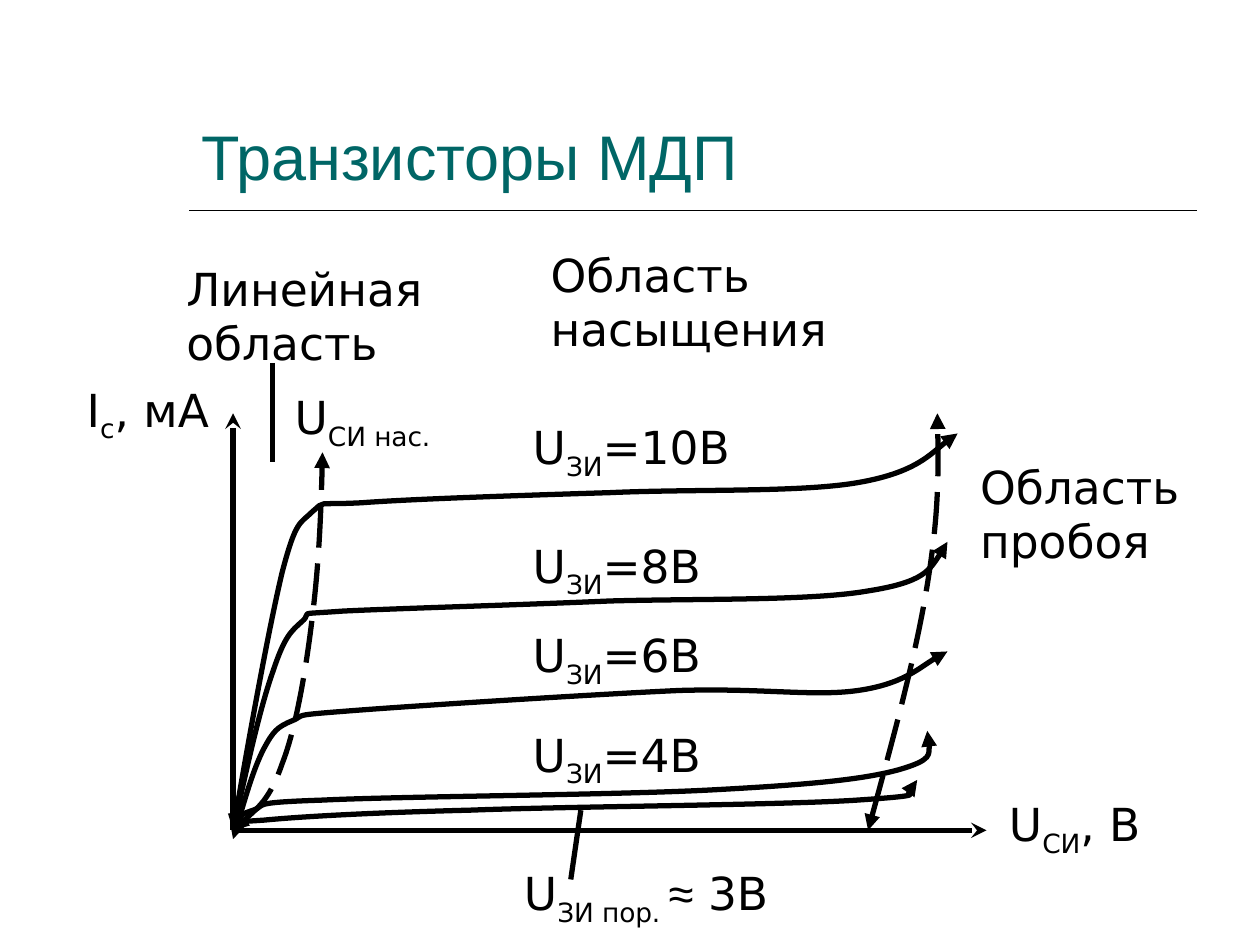
from lxml.etree import SubElement
from pptx import Presentation
from pptx.dml.color import RGBColor
from pptx.enum.dml import MSO_LINE_DASH_STYLE as Dash
from pptx.enum.shapes import MSO_CONNECTOR as Connector
from pptx.enum.text import MSO_ANCHOR as Anchor
from pptx.oxml.ns import qn
from pptx.util import Inches, Pt

BLACK = RGBColor(0x00, 0x00, 0x00)
TEAL = RGBColor(0x00, 0x66, 0x66)
TITLE_FONT = "Arial"
LABEL_FONT = "DejaVu Sans"

ORIGIN = (1.85, 6.59)

# Each characteristic: start point, then Bezier triples (control, control, end).
CHARACTERISTICS = [
    [ORIGIN,
     (1.81, 6.56), (1.77, 6.53), (2.09, 6.51),
     (2.40, 6.48), (2.95, 6.45), (3.74, 6.43),
     (4.53, 6.40), (6.22, 6.39), (6.81, 6.35),
     (7.40, 6.31), (7.22, 6.22), (7.28, 6.19)],
    [ORIGIN,
     (1.87, 6.53), (1.89, 6.47), (2.01, 6.43),
     (2.13, 6.39), (1.95, 6.37), (2.56, 6.35),
     (3.16, 6.32), (4.87, 6.31), (5.63, 6.27),
     (6.39, 6.23), (6.84, 6.19), (7.13, 6.11),
     (7.41, 6.03), (7.39, 5.91), (7.36, 5.80)],
    [(1.85, 6.66),
     (1.93, 6.39), (2.01, 6.11), (2.09, 5.95),
     (2.17, 5.80), (2.20, 5.77), (2.32, 5.72),
     (2.44, 5.67), (2.28, 5.68), (2.80, 5.64),
     (3.31, 5.60), (4.73, 5.51), (5.39, 5.48),
     (6.06, 5.46), (6.46, 5.53), (6.81, 5.48),
     (7.16, 5.43), (7.42, 5.21), (7.52, 5.17)],
    [ORIGIN,
     (1.96, 6.09), (2.07, 5.60), (2.17, 5.32),
     (2.26, 5.05), (2.31, 5.01), (2.40, 4.93),
     (2.49, 4.85), (2.31, 4.88), (2.72, 4.85),
     (3.12, 4.83), (4.15, 4.80), (4.84, 4.77),
     (5.54, 4.75), (6.44, 4.77), (6.89, 4.69),
     (7.34, 4.62), (7.43, 4.46), (7.52, 4.30)],
    [ORIGIN,
     (1.99, 5.77), (2.14, 4.96), (2.24, 4.54),
     (2.35, 4.12), (2.38, 4.16), (2.48, 4.06),
     (2.59, 3.97), (2.48, 4.01), (2.87, 3.99),
     (3.27, 3.96), (4.19, 3.93), (4.84, 3.91),
     (5.50, 3.88), (6.35, 3.91), (6.81, 3.83),
     (7.27, 3.75), (7.51, 3.49), (7.60, 3.44)],
]
REGION_BORDERS = [
    [ORIGIN,
     (1.99, 6.46), (2.14, 6.35), (2.24, 6.06),
     (2.35, 5.78), (2.43, 5.31), (2.48, 4.89),
     (2.53, 4.48), (2.55, 4.04), (2.56, 3.59)],
    [(6.89, 6.59),
     (7.08, 5.89), (7.27, 5.20), (7.36, 4.64),
     (7.45, 4.09), (7.45, 3.69), (7.44, 3.28)],
]

# Gate voltage and top of its label.
GATE_VOLTAGES = [(10, 3.28), (8, 4.22), (6, 4.93), (4, 5.72)]


def add_arrowheads(shape, kind, *ends):
    for end in ends:
        SubElement(shape.line._get_or_add_ln(), qn(f"a:{end}"), type=kind)


def add_line(slide, start, end, width=3):
    points = [Inches(v) for v in (*start, *end)]
    line = slide.shapes.add_connector(Connector.STRAIGHT, *points)
    line.line.color.rgb = BLACK
    line.line.width = Pt(width)
    SubElement(line._element.spPr, qn("a:effectLst"))
    return line


def add_axis(slide, tip):
    add_arrowheads(add_line(slide, tip, ORIGIN), "stealth", "headEnd")


def add_curve(slide, points, dash=None):
    """Draw a Bezier curve with an arrowhead at both ends."""
    start, *rest = [(Inches(x), Inches(y)) for x, y in points]
    builder = slide.shapes.build_freeform(*start)
    builder.add_line_segments(rest, close=False)
    curve = builder.convert_to_shape()
    segments = list(curve._element.iter(qn("a:lnTo")))
    for i in range(0, len(segments), 3):
        triple = segments[i:i + 3]
        bezier = SubElement(triple[0].getparent(), qn("a:cubicBezTo"))
        for segment in triple:
            bezier.append(segment[0])
            segment.getparent().remove(segment)
    curve.shadow.inherit = False
    curve.fill.background()
    curve.line.color.rgb = BLACK
    curve.line.width = Pt(3)
    if dash:
        curve.line.dash_style = dash
    add_arrowheads(curve, "triangle", "headEnd", "tailEnd")


def add_text(slide, box, *runs, size=26, font=LABEL_FONT, color=BLACK,
             anchor=Anchor.TOP, inset=(0.1, 0.05)):
    """Add a text box; each run is (text,) or (text, changes) with sub or font."""
    frame = slide.shapes.add_textbox(*[Inches(v) for v in box]).text_frame
    frame.word_wrap = True
    frame.vertical_anchor = anchor
    frame.margin_left = frame.margin_right = Inches(inset[0])
    frame.margin_top = frame.margin_bottom = Inches(inset[1])
    for text, *changes in runs:
        style = changes[0] if changes else {}
        run = frame.paragraphs[0].add_run()
        run.text = text
        run.font.size = Pt(size)
        run.font.name = style.get("font", font)
        run.font.color.rgb = color
        if style.get("sub"):
            run._r.get_or_add_rPr().set("baseline", "-25000")


def add_symbol(slide, box, letter, index, *rest):
    """Label a quantity: letter with a subscript, then further runs."""
    add_text(slide, box, (letter,), (index, {"sub": True}), *rest)


def main():
    prs = Presentation()
    prs.slide_width, prs.slide_height = Inches(10), Inches(7.5)
    slide = prs.slides.add_slide(prs.slide_layouts[6])

    add_line(slide, (1.5, 1.67), (9.5, 1.67), width=1)
    add_text(slide, (1.5, 0.33, 8, 1.25), ("Транзисторы МДП",), size=36,
             font=TITLE_FONT, color=TEAL, anchor=Anchor.BOTTOM)

    add_axis(slide, (1.85, 3.28))
    add_axis(slide, (7.83, 6.59))
    add_symbol(slide, (7.91, 6.27, 1.34, 0.6), "U", "СИ", (", В",))
    add_symbol(slide, (0.59, 2.98, 1.34, 0.6), "I", "c", (", мА",))

    for border in REGION_BORDERS:
        add_curve(slide, border, Dash.LONG_DASH)
    for characteristic in CHARACTERISTICS:
        add_curve(slide, characteristic)

    add_symbol(slide, (2.24, 3.04, 1.58, 0.6), "U", "СИ нас.")
    for voltage, top in GATE_VOLTAGES:
        add_symbol(slide, (4.13, top, 1.97, 0.6), "U", "ЗИ", (f"={voltage}В",))
    add_symbol(slide, (4.06, 6.82, 2.52, 0.6), "U", "ЗИ пор. ",
               ("≈", {"font": TITLE_FONT}), (" 3В",))

    add_line(slide, (4.61, 6.43), (4.53, 6.98))
    add_line(slide, (2.16, 2.88), (2.16, 3.67))
    add_text(slide, (1.38, 2.02, 2.52, 0.97), ("Линейная область",))
    add_text(slide, (7.68, 3.59, 1.81, 0.97), ("Область пробоя",))
    add_text(slide, (4.25, 1.89, 2.52, 1.44), ("Область насыщения",),
             inset=(0.12, 0.07))

    prs.save("out.pptx")


if __name__ == "__main__":
    main()
